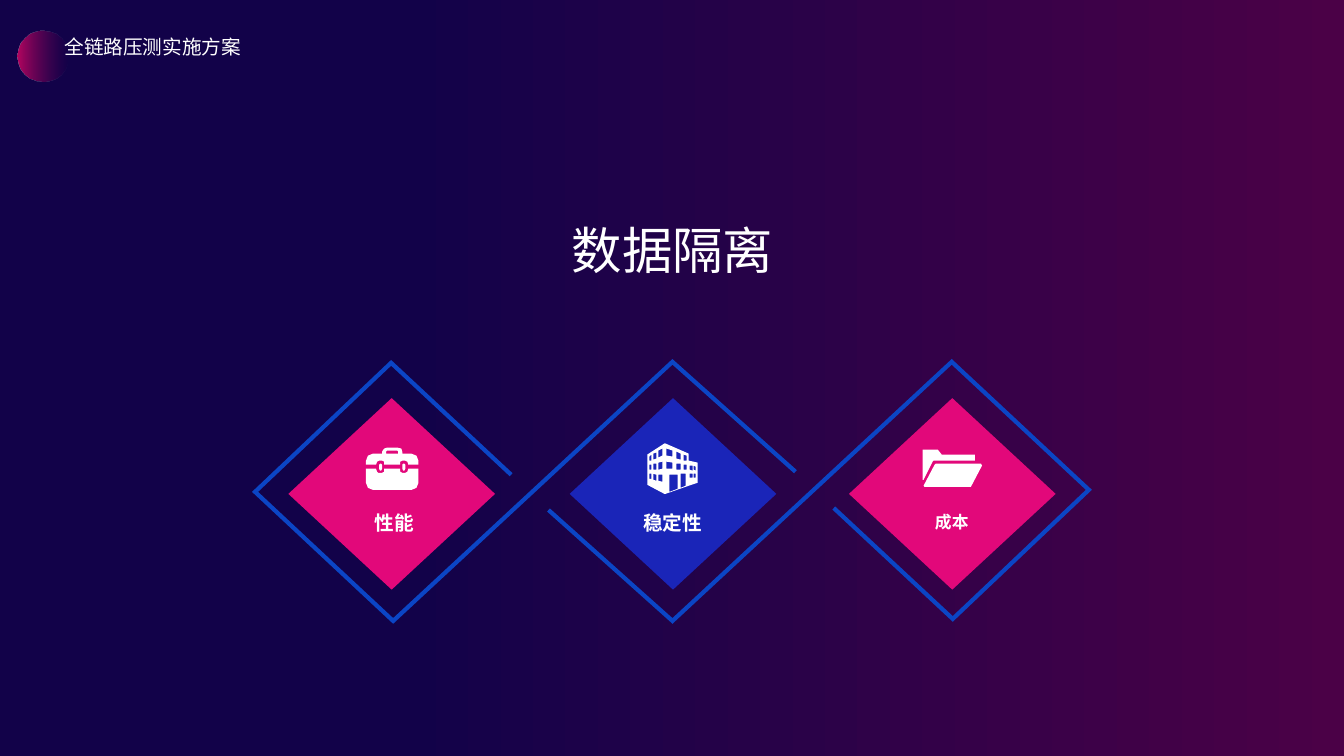
from lxml import etree
from pptx import Presentation
from pptx.dml.color import RGBColor
from pptx.enum import shapes, text
from pptx.oxml.ns import qn
from pptx.util import Inches, Pt

FONT = "Noto Sans CJK SC"
WHITE = RGBColor(0xFF, 0xFF, 0xFF)
PINK = RGBColor(0xE2, 0x08, 0x7A)
BLUE = RGBColor(0x1A, 0x25, 0xB8)
RIBBON = RGBColor(0x0B, 0x45, 0xC5)
NAVY = RGBColor(0x12, 0x02, 0x49)
PLUM = RGBColor(0x4B, 0x01, 0x47)
CRIMSON = RGBColor(0xB3, 0x06, 0x60)
PURPLE = RGBColor(0x57, 0x01, 0x52)

deck = Presentation()
deck.slide_width = Inches(13.33)
deck.slide_height = Inches(7.5)
page = deck.slides.add_slide(deck.slide_layouts[5])


def write(box, words, size, bold=False, align=text.PP_ALIGN.LEFT):
    frame = box.text_frame
    frame.word_wrap = True
    frame.auto_size = text.MSO_AUTO_SIZE.NONE
    frame.vertical_anchor = text.MSO_ANCHOR.TOP
    para = frame.paragraphs[0]
    para.text = words
    para.alignment = align
    para.font.size = Pt(size)
    para.font.bold = bold
    para.font.color.rgb = WHITE
    para.font.name = FONT
    # East Asian text needs its own typeface entry
    defaults = para._p.find(".//" + qn("a:defRPr"))
    etree.SubElement(defaults, qn("a:ea")).set("typeface", FONT)


def draw(contours, closed=True):
    builder = None
    for contour in contours:
        points = [(Inches(x), Inches(y)) for x, y in contour]
        if builder is None:
            builder = page.shapes.build_freeform(*points[0])
        else:
            builder.move_to(*points[0])
        builder.add_line_segments(points[1:], close=closed)
    outline = builder.convert_to_shape()
    outline.shadow.inherit = False
    if closed:
        outline.fill.solid()
        outline.fill.fore_color.rgb = WHITE
        outline.line.fill.background()
    else:
        outline.fill.background()
        outline.line.color.rgb = RIBBON
        outline.line.width = Pt(3)
        pen = outline._element.spPr.find(qn("a:ln"))
        etree.SubElement(pen, qn("a:miter")).set("lim", "800000")


# Background and header disc: left-to-right gradients
disc = page.shapes.add_shape(shapes.MSO_SHAPE.OVAL, Inches(0.17), Inches(0.3),
                             Inches(0.51), Inches(0.51))
disc.shadow.inherit = False
disc.line.fill.background()
for fill, start, first, last in [(page.background.fill, 0.3, NAVY, PLUM),
                                 (disc.fill, 0, CRIMSON, PURPLE)]:
    fill.gradient()
    fill.gradient_angle = 0
    for stop, position, color in zip(fill.gradient_stops, (start, 1), (first, last)):
        stop.position = position
        stop.color.rgb = color
# The disc fades out to the right
fade = disc._element.spPr.findall(".//" + qn("a:srgbClr"))[-1]
etree.SubElement(fade, qn("a:alpha")).set("val", "0")

# Header and title
header = page.shapes.add_textbox(Inches(0.54), Inches(0.3), Inches(3.05), Inches(1.05))
write(header, "全链路压测实施方案", 14)
title = page.shapes.title
title.left, title.top = Inches(5.57), Inches(2.12)
title.width, title.height = Inches(2.3), Inches(0.71)
write(title, "数据隔离", 36)

# Ribbon lines around the diamonds
draw([[(8.27, 5.04), (9.45, 6.14), (10.8, 4.86), (9.44, 3.59), (6.67, 6.16), (5.44, 5.06)]],
     closed=False)
draw([[(5.07, 4.71), (3.88, 3.6), (2.53, 4.88), (3.9, 6.16), (6.67, 3.59), (7.89, 4.68)]],
     closed=False)

# Diamonds with labels: left, colour, words, size, label centre, label top
for left, color, words, size, centre, top in [
        (2.86, PINK, "性能", 14, 3.91, 5.02),
        (5.65, BLUE, "稳定性", 14, 6.67, 5.02),
        (8.42, PINK, "成本", 12, 9.44, 5.03)]:
    diamond = page.shapes.add_shape(shapes.MSO_SHAPE.DIAMOND, Inches(left), Inches(3.95),
                                    Inches(2.05), Inches(1.9))
    diamond.shadow.inherit = False
    diamond.fill.solid()
    diamond.fill.fore_color.rgb = color
    diamond.line.fill.background()
    label = page.shapes.add_textbox(Inches(centre - 0.44), Inches(top), Inches(0.88), Inches(0.34))
    write(label, words, size, bold=True, align=text.PP_ALIGN.CENTER)

# Briefcase: lid with handle, body, two clasps
draw([
    [(3.63, 4.61), (3.63, 4.57), (3.65, 4.52), (3.7, 4.5), (3.79, 4.5), (3.79, 4.48),
     (3.81, 4.45), (3.84, 4.44), (3.94, 4.44), (3.98, 4.45), (3.99, 4.48), (3.99, 4.5),
     (4.08, 4.5), (4.13, 4.52), (4.15, 4.57), (4.15, 4.61), (4.05, 4.61), (4.04, 4.58),
     (4.02, 4.57), (3.99, 4.57), (3.97, 4.58), (3.97, 4.61), (3.81, 4.61), (3.81, 4.58),
     (3.79, 4.57), (3.76, 4.57), (3.74, 4.58), (3.73, 4.61)],
    [(3.83, 4.5), (3.83, 4.48), (3.84, 4.47), (3.94, 4.47), (3.95, 4.48), (3.95, 4.5)],
    [(3.63, 4.65), (3.73, 4.65), (3.74, 4.68), (3.75, 4.69), (3.79, 4.69), (3.81, 4.68),
     (3.81, 4.65), (3.97, 4.65), (3.97, 4.68), (3.99, 4.69), (4.02, 4.69), (4.04, 4.68),
     (4.05, 4.65), (4.15, 4.65), (4.15, 4.79), (4.13, 4.84), (4.08, 4.86), (3.7, 4.86),
     (3.65, 4.84), (3.63, 4.79)],
    *[[(x, 4.61), (x + 0.01, 4.6), (x + 0.02, 4.6), (x + 0.03, 4.61), (x + 0.03, 4.65),
       (x + 0.02, 4.67), (x + 0.01, 4.67), (x, 4.65)] for x in (3.76, 3.99)],
])

# Building windows: left, right, then rows of top-left, top-right, bottom-right, bottom-left
window_columns = [
    (6.44, 6.46, [(4.53, 4.51, 4.57, 4.57), (4.61, 4.61, 4.66, 4.66), (4.7, 4.7, 4.75, 4.75)]),
    (6.48, 6.51, [(4.5, 4.49, 4.55, 4.56), (4.6, 4.6, 4.66, 4.66), (4.7, 4.71, 4.77, 4.76)]),
    (6.53, 6.57, [(4.47, 4.45, 4.52, 4.54), (4.59, 4.58, 4.65, 4.66), (4.71, 4.71, 4.78, 4.77)]),
    (6.61, 6.67, [(4.45, 4.47, 4.53, 4.52), (4.58, 4.59, 4.65, 4.65)]),
    (6.71, 6.75, [(4.48, 4.5, 4.56, 4.55), (4.6, 4.6, 4.66, 4.66)]),
    (6.78, 6.81, [(4.51, 4.52, 4.57, 4.57), (4.61, 4.61, 4.66, 4.66)]),
    (6.84, 6.87, [(4.62, 4.62, 4.67, 4.66), (4.7, 4.7, 4.74, 4.74)]),
    (6.88, 6.9, [(4.62, 4.63, 4.67, 4.66), (4.7, 4.7, 4.74, 4.74)]),
    (6.64, 6.72, [(4.71, 4.71, 4.85, 4.88)]),
    (6.75, 6.8, [(4.7, 4.7, 4.82, 4.84)]),
]
walls = [(6.92, 4.59), (6.83, 4.57), (6.83, 4.5), (6.6, 4.4), (6.59, 4.4), (6.42, 4.51),
         (6.42, 4.81), (6.59, 4.9), (6.6, 4.9), (6.83, 4.82), (6.92, 4.79)]
windows = [[(left, a), (right, b), (right, c), (left, d)]
           for left, right, rows in window_columns for a, b, c, d in rows]
draw([walls, *windows])

# Folder: front flap, then back
draw([[(9.28, 4.6), (9.73, 4.6), (9.74, 4.62), (9.63, 4.83), (9.17, 4.83), (9.16, 4.82),
       (9.27, 4.61)]])
draw([[(9.26, 4.57), (9.67, 4.57), (9.67, 4.51), (9.34, 4.51), (9.3, 4.46), (9.15, 4.46),
       (9.15, 4.76), (9.16, 4.76), (9.25, 4.58)]])

deck.save("out.pptx")
